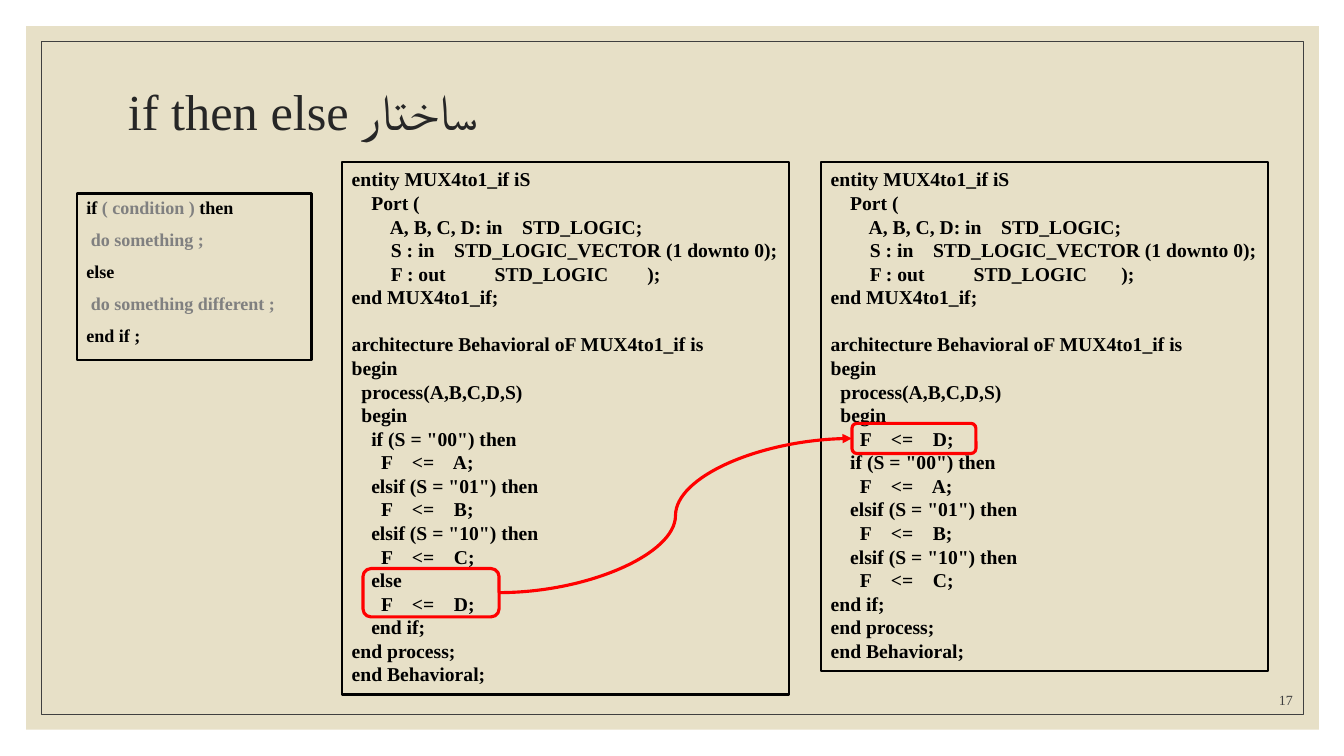
import dataclasses
import pptx
import pptx.util
import pptx.dml.color
import pptx.enum.shapes
import pptx.enum.text
import pptx.oxml.ns
import lxml.etree

Inches, Pt = pptx.util.Inches, pptx.util.Pt
Kind = pptx.enum.shapes.MSO_SHAPE
Align = pptx.enum.text.PP_ALIGN
Anchor = pptx.enum.text.MSO_ANCHOR


@dataclasses.dataclass(frozen=True)
class Theme:
    """Colours, font and type sizes of the slide."""
    sand: str = "E7E0C7"
    edge: str = "404040"
    head: str = "262626"
    ink: str = "000000"
    grey: str = "808080"
    red: str = "FF0000"
    font: str = "Times New Roman"
    title: float = 36
    code: float = 14
    rule: float = 12.9
    page: float = 10


THEME = Theme()

ENTITY = """entity MUX4to1_if iS
    Port (
        A, B, C, D: in    STD_LOGIC;
        S : in    STD_LOGIC_VECTOR (1 downto 0);
        F : out          STD_LOGIC{gap});
end MUX4to1_if;

architecture Behavioral oF MUX4to1_if is
begin
  process(A,B,C,D,S)
  begin
"""
TESTS = """    if (S = "00") then
      F    <=    A;
    elsif (S = "01") then
      F    <=    B;
    elsif (S = "10") then
      F    <=    C;
"""
LAST = "      F    <=    D;\n"
CLOSE = "end if;\nend process;\nend Behavioral;"
LEFT = ENTITY.format(gap=" " * 8) + TESTS + "    else\n" + LAST + "    " + CLOSE
RIGHT = ENTITY.format(gap=" " * 7) + LAST + TESTS + CLOSE

SYNTAX = [
    [("if ", THEME.ink), ("( condition ) ", THEME.grey), ("then", THEME.ink)],
    [(" do something ;", THEME.grey)],
    [("else", THEME.ink)],
    [(" do something different ;", THEME.grey)],
    [("end if ;", THEME.ink)],
]


def rgb(hue):
    """Turn a hex string into a colour."""
    return pptx.dml.color.RGBColor.from_string(hue)


def style(font, size, hue, bold=False):
    """Set the face, size, colour and weight of a font."""
    font.name, font.size, font.bold = THEME.font, Pt(size), bold
    font.color.rgb = rgb(hue)


def panel(slide, area, fill=None, line=None, width=1.5, kind=Kind.RECTANGLE):
    """Draw a flat shape with an optional fill and outline."""
    shape = slide.shapes.add_shape(kind, *map(Inches, area))
    shape.shadow.inherit = False
    if fill:
        shape.fill.solid()
        shape.fill.fore_color.rgb = rgb(fill)
    else:
        shape.fill.background()
    if line:
        shape.line.color.rgb = rgb(line)
        shape.line.width = Pt(width)
    else:
        shape.line.fill.background()
    return shape


def listing(slide, area, lines, size, pitch, gap=0):
    """Write lines of coloured parts in an outlined box."""
    frame = panel(slide, area, line=THEME.ink).text_frame
    frame.word_wrap = True
    frame.vertical_anchor = Anchor.TOP
    frame.margin_right = 0
    para, space = frame.paragraphs[0], 0
    for parts in lines:
        if not parts:
            space = pitch
            continue
        if para is None:
            para = frame.add_paragraph()
            para.space_before = Pt(gap + space)
        para.alignment = Align.LEFT
        para.line_spacing = Pt(pitch)
        style(para.font, size, parts[0][1], True)
        for text, hue in parts:
            run = para.add_run()
            run.text = text
            run.font.color.rgb = rgb(hue)
        para, space = None, 0


def program(slide, area, code):
    """Write a program in an outlined box."""
    lines = [[(row, THEME.ink)] if row else [] for row in code.split("\n")]
    listing(slide, area, lines, THEME.code, 16.84)


def label(slide, area, text, size, hue, anchor, align):
    """Add a line of plain text and return its paragraph."""
    frame = slide.shapes.add_textbox(*map(Inches, area)).text_frame
    frame.word_wrap = True
    frame.vertical_anchor = anchor
    para = frame.paragraphs[0]
    para.text = text
    para.alignment = align
    style(para.font, size, hue)
    return para


def title(slide, area, text):
    """Add a title that reads from right to left."""
    para = label(slide, area, text, THEME.title, THEME.head, Anchor.MIDDLE, Align.LEFT)
    para.line_spacing = 0.9
    para._p.get_or_add_pPr().set("rtl", "1")


def mark(slide, area):
    """Ring some code in red."""
    return panel(slide, area, line=THEME.red, width=2.25, kind=Kind.ROUNDED_RECTANGLE)


def arrow(slide, start, end):
    """Join the right side of one shape to the left of another."""
    kind = pptx.enum.shapes.MSO_CONNECTOR.CURVE
    link = slide.shapes.add_connector(kind, 0, 0, 0, 0)
    link.begin_connect(start, 3)
    link.end_connect(end, 1)
    link.line.color.rgb = rgb(THEME.red)
    link.line.width = Pt(2.25)
    qn = pptx.oxml.ns.qn
    lxml.etree.SubElement(link.line._get_or_add_ln(), qn("a:tailEnd"), type="triangle")
    lxml.etree.SubElement(link._element.spPr, qn("a:effectLst"))


def main():
    """Build and save the slide."""
    deck = pptx.Presentation()
    deck.slide_width, deck.slide_height = Inches(13.33), Inches(7.5)
    slide = deck.slides.add_slide(deck.slide_layouts[6])
    panel(slide, (0.26, 0.26, 12.82, 6.98), fill=THEME.sand)
    panel(slide, (0.41, 0.41, 12.52, 6.68), line=THEME.edge, width=0.5)
    title(slide, (1.17, 0.7, 4.87, 0.87), "ساختار if then else")
    label(slide, (11.32, 6.8, 1.6, 0.28), "17", THEME.page, THEME.edge,
          Anchor.BOTTOM, Align.RIGHT)
    listing(slide, (0.76, 1.92, 2.33, 1.65), SYNTAX, THEME.rule, 13.93, 9)
    program(slide, (3.39, 1.61, 4.44, 5.28), LEFT)
    program(slide, (8.14, 1.61, 4.44, 5.05), RIGHT)
    start = mark(slide, (3.6, 5.64, 1.35, 0.48))
    end = mark(slide, (8.45, 4.2, 1.23, 0.3))
    arrow(slide, start, end)
    deck.save("out.pptx")


if __name__ == "__main__":
    main()
